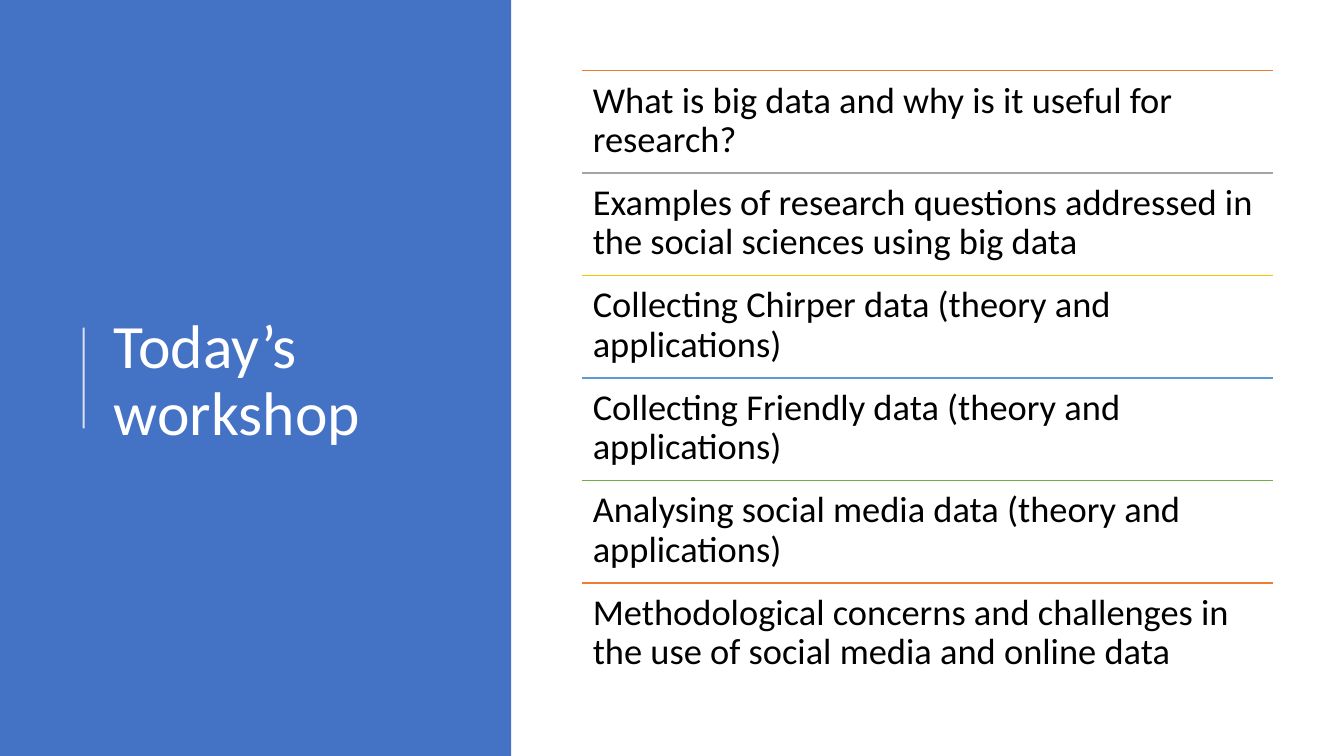
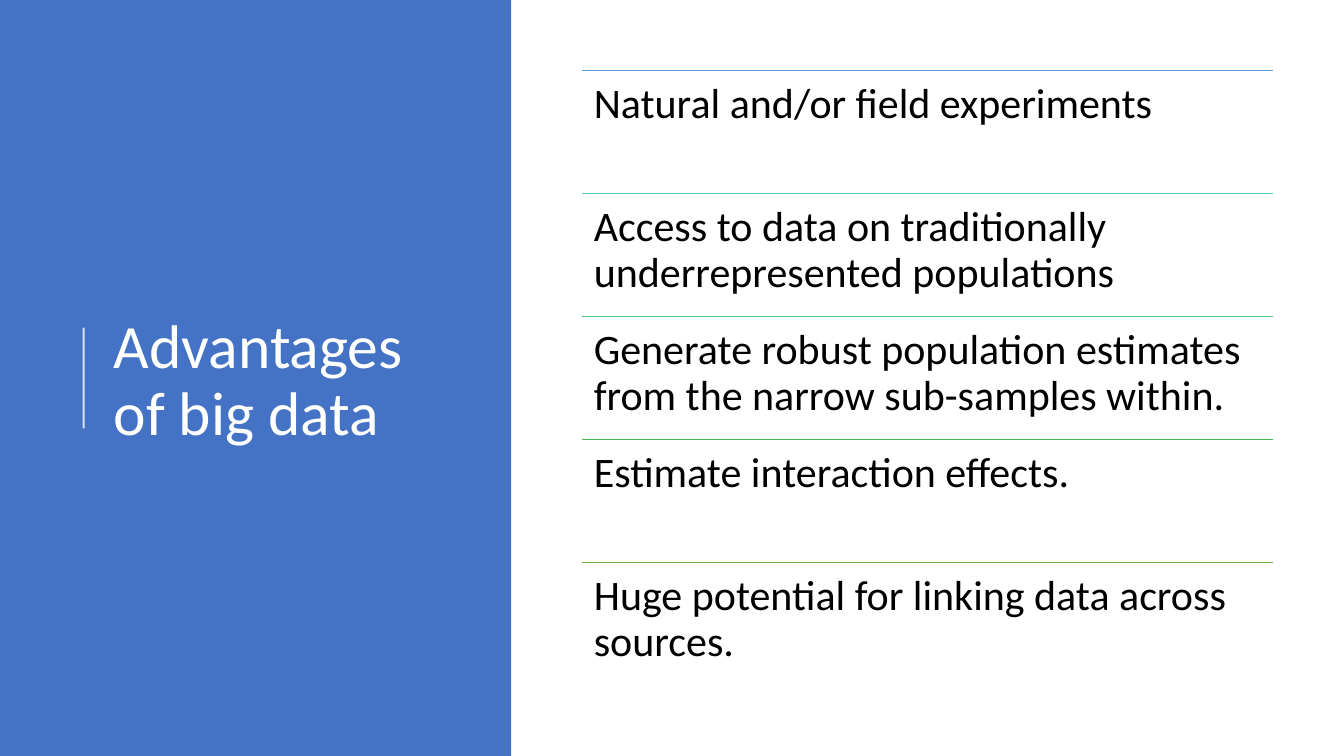
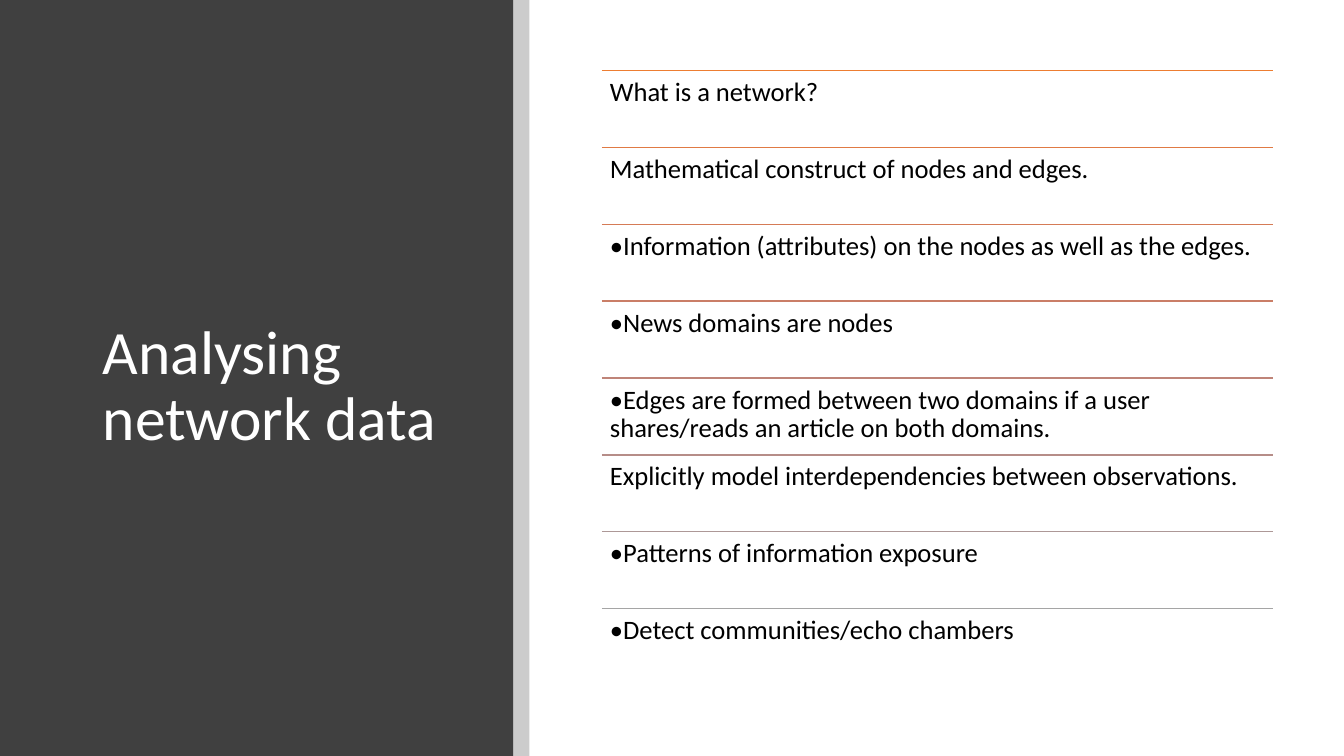
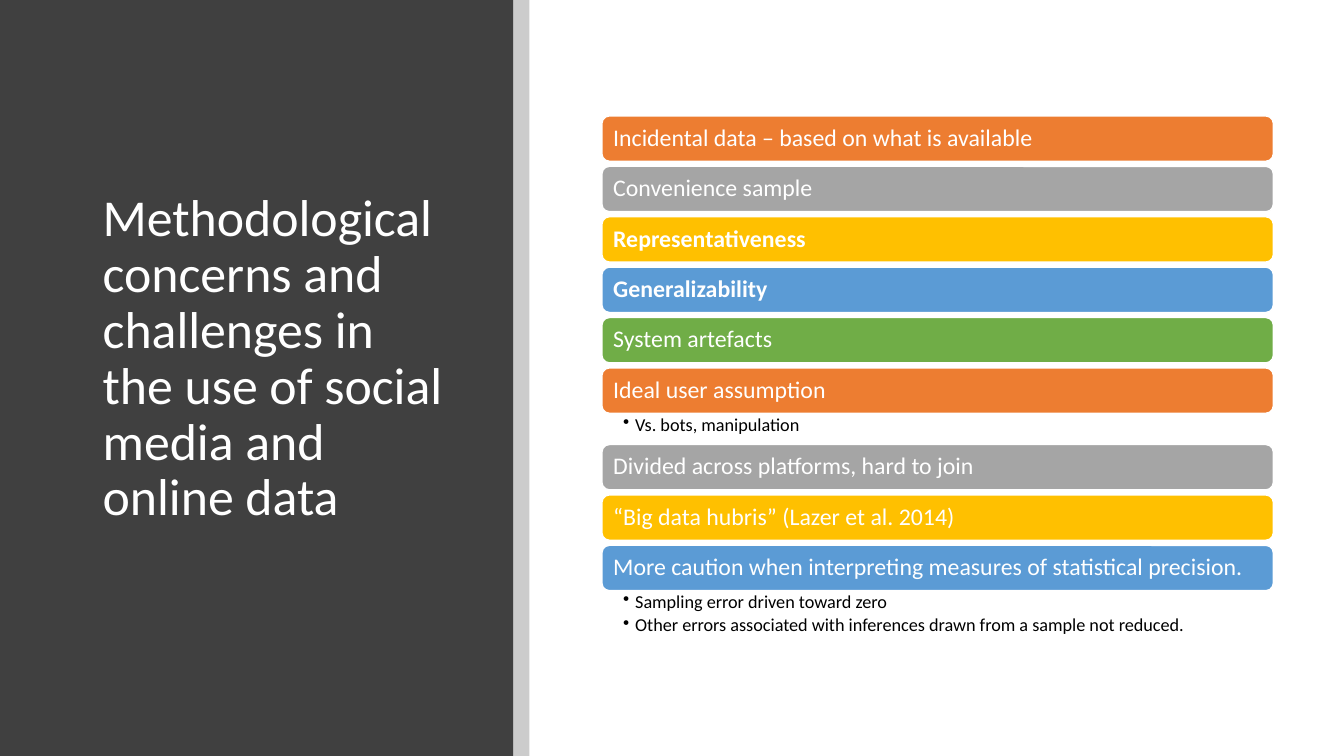
"""Builds four workshop slides with a coloured title panel and a list."""
import colorsys

import pptx
import pptx.dml.color
import pptx.enum.shapes
import pptx.enum.text
import pptx.oxml.ns
import pptx.util
from lxml import etree

Inches = pptx.util.Inches
Pt = pptx.util.Pt
ANCHOR = pptx.enum.text.MSO_ANCHOR
SHAPE = pptx.enum.shapes.MSO_SHAPE

COLOURS = {
    "white": "FFFFFF", "black": "000000", "panel_blue": "4472C4", "panel_dark": "404040",
    "orange": "ED7D31", "grey": "A5A5A5", "gold": "FFC000", "blue": "5B9BD5", "green": "70AD47",
}
ACCENTS = ["orange", "grey", "gold", "blue", "green"]
FONT = "Calibri"
LIST_RIGHT, LIST_TOP, LIST_HEIGHT = 12.63, 0.7, 6.1
BLUE_LIST_LEFT, DARK_LIST_LEFT = 5.77, 5.97
CARD_TOP, CARD_HEIGHT, CARD_GAP = 1.15, 0.45, 0.05

AGENDA = [
    "What is big data and why is it useful for research?",
    "Examples of research questions addressed in the social sciences using big data",
    "Collecting Chirper data (theory and applications)",
    "Collecting Friendly data (theory and applications)",
    "Analysing social media data (theory and applications)",
    "Methodological concerns and challenges in the use of social media and online data",
]
ADVANTAGES = [
    "Natural and/or field experiments",
    "Access to data on traditionally underrepresented populations",
    "Generate robust population estimates from the narrow sub-samples within.",
    "Estimate interaction effects.",
    "Huge potential for linking data across sources.",
]
NETWORK = [
    "What is a network?",
    "Mathematical construct of nodes and edges.",
    "•Information (attributes) on the nodes as well as the edges.",
    "•News domains are nodes",
    "•Edges are formed between two domains if a user shares/reads an article on both domains.",
    "Explicitly model interdependencies between observations.",
    "•Patterns of information exposure",
    "•Detect communities/echo chambers",
]
CONCERNS = [
    ("Incidental data – based on what is available", False, []),
    ("Convenience sample", False, []),
    ("Representativeness", True, []),
    ("Generalizability", True, []),
    ("System artefacts", False, []),
    ("Ideal user assumption", False, ["Vs. bots, manipulation"]),
    ("Divided across platforms, hard to join", False, []),
    ("“Big data hubris” (Lazer et al. 2014)", False, []),
    ("More caution when interpreting measures of statistical precision.", False,
     ["Sampling error driven toward zero",
      "Other errors associated with inferences drawn from a sample not reduced."]),
]
NOTE_HEIGHTS = {1: 0.31, 2: 0.49}


def rgb(hex_text):
    return pptx.dml.color.RGBColor.from_string(hex_text)


def set_all(target, values):
    for name, value in values.items():
        setattr(target, name, value)


def set_opacity(shape, percent):
    for colour in shape.element.iter(pptx.oxml.ns.qn("a:srgbClr")):
        etree.SubElement(colour, pptx.oxml.ns.qn("a:alpha"), val=str(percent * 1000))


def blend(first, last, count):
    ends = []
    for name in (first, last):
        channels = [value / 255 for value in bytes.fromhex(COLOURS[name])]
        ends.append(colorsys.rgb_to_hls(*channels))
    result = []
    for index in range(count):
        share = index / (count - 1)
        mixed = [start + (end - start) * share for start, end in zip(*ends)]
        result.append("".join(f"{round(value * 255):02X}" for value in colorsys.hls_to_rgb(*mixed)))
    return result


def add_bullet(paragraph):
    properties = paragraph._p.get_or_add_pPr()
    properties.set("marL", str(Inches(0.12)))
    properties.set("indent", str(Inches(-0.12)))
    etree.SubElement(properties, pptx.oxml.ns.qn("a:buChar"), char="•")


def write_text(shape, lines, size, colour, insets, anchor=ANCHOR.TOP, bold=False, bullets=False):
    frame = shape.text_frame
    sides = ("margin_left", "margin_top", "margin_right", "margin_bottom")
    set_all(frame, {"word_wrap": True, "vertical_anchor": anchor})
    set_all(frame, {side: Inches(inset) for side, inset in zip(sides, insets)})
    for index, line in enumerate(lines):
        paragraph = frame.add_paragraph() if index else frame.paragraphs[0]
        paragraph.text = line
        if bullets:
            add_bullet(paragraph)
        set_all(paragraph, {"line_spacing": 0.9, "space_after": Pt(size * 0.2),
                            "alignment": pptx.enum.text.PP_ALIGN.LEFT})
        set_all(paragraph.font, {"name": FONT, "size": Pt(size), "bold": bold})
        paragraph.font.color.rgb = rgb(COLOURS[colour])


def add_text(slide, box, *arguments, **options):
    shape = slide.shapes.add_textbox(*map(Inches, box))
    write_text(shape, *arguments, **options)


def add_block(slide, box, colour, kind=SHAPE.RECTANGLE, outline=None):
    shape = slide.shapes.add_shape(kind, *map(Inches, box))
    shape.shadow.inherit = False
    shape.fill.solid()
    shape.fill.fore_color.rgb = rgb(COLOURS[colour])
    if outline:
        shape.line.color.rgb = rgb(COLOURS[outline])
        shape.line.width = Pt(1)
    else:
        shape.line.fill.background()
    return shape


def add_line(slide, ends, hex_text, width=1):
    line = slide.shapes.add_connector(pptx.enum.shapes.MSO_CONNECTOR.STRAIGHT, *map(Inches, ends))
    line.line.color.rgb = rgb(hex_text)
    line.line.width = Pt(width)
    etree.SubElement(line.element.spPr, pptx.oxml.ns.qn("a:effectLst"))
    return line


def add_title(slide, box, title, size):
    add_text(slide, box, [title], size, "white", (0.1, 0.05, 0.1, 0.05), anchor=ANCHOR.MIDDLE)


def add_slide(presentation):
    return presentation.slides.add_slide(presentation.slide_layouts[6])


def add_blue_slide(presentation, title):
    slide = add_slide(presentation)
    add_block(slide, (0, 0, 5.07, 7.5), "panel_blue")
    add_title(slide, (1.03, 0.78, 3.68, 6.02), title, 44)
    set_opacity(add_line(slide, (0.83, 3.25, 0.83, 4.25), COLOURS["white"], 1.5), 80)
    return slide


def add_dark_slide(presentation, title, size=44, title_height=5.91):
    slide = add_slide(presentation)
    add_block(slide, (0, 0, 5.09, 7.5), "panel_dark")
    set_opacity(add_block(slide, (5.09, 0, 0.16, 7.5), "black"), 20)
    add_title(slide, (0.92, 0.89, 3.65, title_height), title, size)
    return slide


def add_ruled_list(slide, left, lines, colours, size, inset):
    pitch = LIST_HEIGHT / len(lines)
    for index, (line, colour) in enumerate(zip(lines, colours)):
        top = LIST_TOP + index * pitch
        add_line(slide, (left, top, LIST_RIGHT, top), colour)
        add_text(slide, (left, top, LIST_RIGHT - left, pitch), [line], size, "black", [inset] * 4)


def add_cards(slide, left, cards):
    top, width = CARD_TOP, LIST_RIGHT - left
    for index, (heading, bold, notes) in enumerate(cards):
        card = add_block(slide, (left, top, width, CARD_HEIGHT), ACCENTS[index % len(ACCENTS)],
                         SHAPE.ROUNDED_RECTANGLE, "white")
        write_text(card, [heading], 17, "white", [0.09] * 4, anchor=ANCHOR.MIDDLE, bold=bold)
        top += CARD_HEIGHT
        if notes:
            height = NOTE_HEIGHTS[len(notes)]
            add_text(slide, (left, top, width, height), notes, 13, "black",
                     (0.21, 0.02, 0.13, 0.02), bullets=True)
            top += height
        else:
            top += CARD_GAP


def main():
    presentation = pptx.Presentation()
    set_all(presentation, {"slide_width": Inches(13.33), "slide_height": Inches(7.5)})

    slide = add_blue_slide(presentation, "Today’s workshop")
    accents = [COLOURS[name] for name in ACCENTS + ACCENTS[:1]]
    add_ruled_list(slide, BLUE_LIST_LEFT, AGENDA, accents, 26, 0.11)

    slide = add_blue_slide(presentation, "Advantages of big data")
    add_ruled_list(slide, BLUE_LIST_LEFT, ADVANTAGES, blend("blue", "green", len(ADVANTAGES)), 30, 0.12)

    slide = add_dark_slide(presentation, "Analysing network data")
    add_ruled_list(slide, DARK_LIST_LEFT, NETWORK, blend("orange", "grey", len(NETWORK)), 19, 0.08)

    title = "Methodological concerns and challenges in the use of social media and online data"
    slide = add_dark_slide(presentation, title, 37, 5.35)
    add_cards(slide, DARK_LIST_LEFT, CONCERNS)

    presentation.save("out.pptx")


if __name__ == "__main__":
    main()
